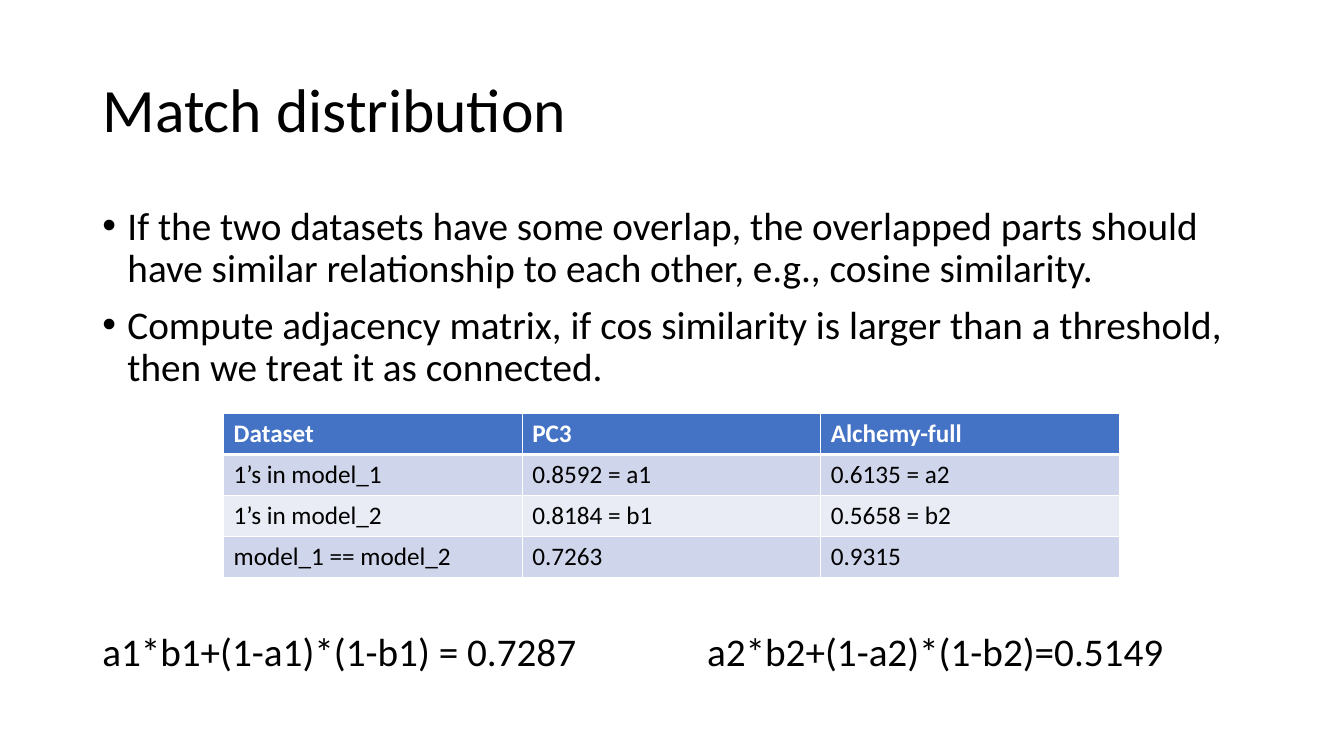
from dataclasses import dataclass

from lxml import etree
from pptx import Presentation
from pptx import util as u
from pptx.dml.color import RGBColor
from pptx.enum import text
from pptx.oxml import ns

EMU_PER_PX = 9525


@dataclass(frozen=True)
class Theme:
    font: str = "Calibri"
    ink: str = "000000"
    white: str = "FFFFFF"
    header: str = "4472C4"
    bands: tuple = ("CFD5EA", "E9EBF5")
    title_size: int = 44
    body_size: int = 28
    table_size: int = 18
    line_spacing: float = 0.9


THEME = Theme()

POINTS = [
    "If the two datasets have some overlap, the overlapped parts should "
    "have similar relationship to each other, e.g., cosine similarity.",
    "Compute adjacency matrix, if cos similarity is larger than a threshold, "
    "then we treat it as connected.",
]
FORMULAS = "a1*b1+(1-a1)*(1-b1) = 0.7287\ta2*b2+(1-a2)*(1-b2)=0.5149"
MATCHES = [
    ["Dataset", "PC3", "Alchemy-full"],
    ["1’s in model_1", "0.8592 = a1", "0.6135 = a2"],
    ["1’s in model_2", "0.8184 = b1", "0.5658 = b2"],
    ["model_1 == model_2", "0.7263", "0.9315"],
]


def px(length):
    return u.Emu(length * EMU_PER_PX)


def add_xml(parent, tag, **attributes):
    values = {name: str(value) for name, value in attributes.items()}
    return etree.SubElement(parent, ns.qn(tag), values)


def format_runs(paragraph, size, color=THEME.ink, bold=False):
    for run in paragraph.runs:
        run.font.name = THEME.font
        run.font.size = u.Pt(size)
        run.font.bold = bold
        run.font.color.rgb = RGBColor.from_string(color)


def add_title(slide, box, wording):
    title = slide.shapes.title
    title.left, title.top, title.width, title.height = map(px, box)
    frame = title.text_frame
    frame.text = wording
    frame.vertical_anchor = text.MSO_ANCHOR.MIDDLE
    paragraph = frame.paragraphs[0]
    paragraph.alignment = text.PP_ALIGN.LEFT
    paragraph.line_spacing = THEME.line_spacing
    format_runs(paragraph, THEME.title_size)


def add_bullet(paragraph, indent):
    properties = paragraph._p.get_or_add_pPr()
    properties.set("marL", str(px(indent)))
    properties.set("indent", str(px(-indent)))
    add_xml(properties, "a:buFont", typeface="Arial")
    add_xml(properties, "a:buChar", char="•")


def add_body(slide, box, points, formulas, formula_gap, formula_tab):
    """Place the bullets and, below a gap left for the table, the formula line."""
    frame = slide.shapes.add_textbox(*map(px, box)).text_frame
    frame.word_wrap = True
    frame.text = "\n".join([*points, formulas])
    for paragraph in frame.paragraphs:
        paragraph.line_spacing = THEME.line_spacing
        paragraph.space_before = u.Pt(10)
        format_runs(paragraph, THEME.body_size)
    *bullets, formula_line = frame.paragraphs
    for paragraph in bullets:
        add_bullet(paragraph, 24)
    formula_line.space_before = px(formula_gap)
    tabs = add_xml(formula_line._p.get_or_add_pPr(), "a:tabLst")
    add_xml(tabs, "a:tab", pos=px(formula_tab), algn="l")


def add_borders(cell, top, bottom):
    properties = cell._tc.get_or_add_tcPr()
    for side, width in (("L", 1), ("R", 1), ("T", top), ("B", bottom)):
        line = add_xml(properties, f"a:ln{side}", w=u.Pt(width))
        fill = add_xml(line, "a:solidFill")
        add_xml(fill, "a:srgbClr", val=THEME.white)


def add_match_table(slide, box, rows):
    shape = slide.shapes.add_table(len(rows), len(rows[0]), *map(px, box))
    table = shape.table
    table.horz_banding = False
    for row_index, row in enumerate(rows):
        is_header = row_index == 0
        background = THEME.header if is_header else THEME.bands[(row_index - 1) % 2]
        color = THEME.white if is_header else THEME.ink
        for column_index, wording in enumerate(row):
            cell = table.cell(row_index, column_index)
            cell.text = wording
            format_runs(cell.text_frame.paragraphs[0], THEME.table_size, color, is_header)
            add_borders(cell, 3 if row_index == 1 else 1, 3 if is_header else 1)
            cell.fill.solid()
            cell.fill.fore_color.rgb = RGBColor.from_string(background)


def build_match_slide(presentation):
    slide = presentation.slides.add_slide(presentation.slide_layouts[5])
    add_title(slide, (88, 38, 1104, 139), "Match distribution")
    add_body(slide, (88, 192, 1104, 457), POINTS, FORMULAS,
             formula_gap=231, formula_tab=576)
    add_match_table(slide, (213, 394, 853, 156), MATCHES)


def main():
    presentation = Presentation()
    presentation.slide_width, presentation.slide_height = px(1280), px(720)
    build_match_slide(presentation)
    presentation.save("out.pptx")


if __name__ == "__main__":
    main()
